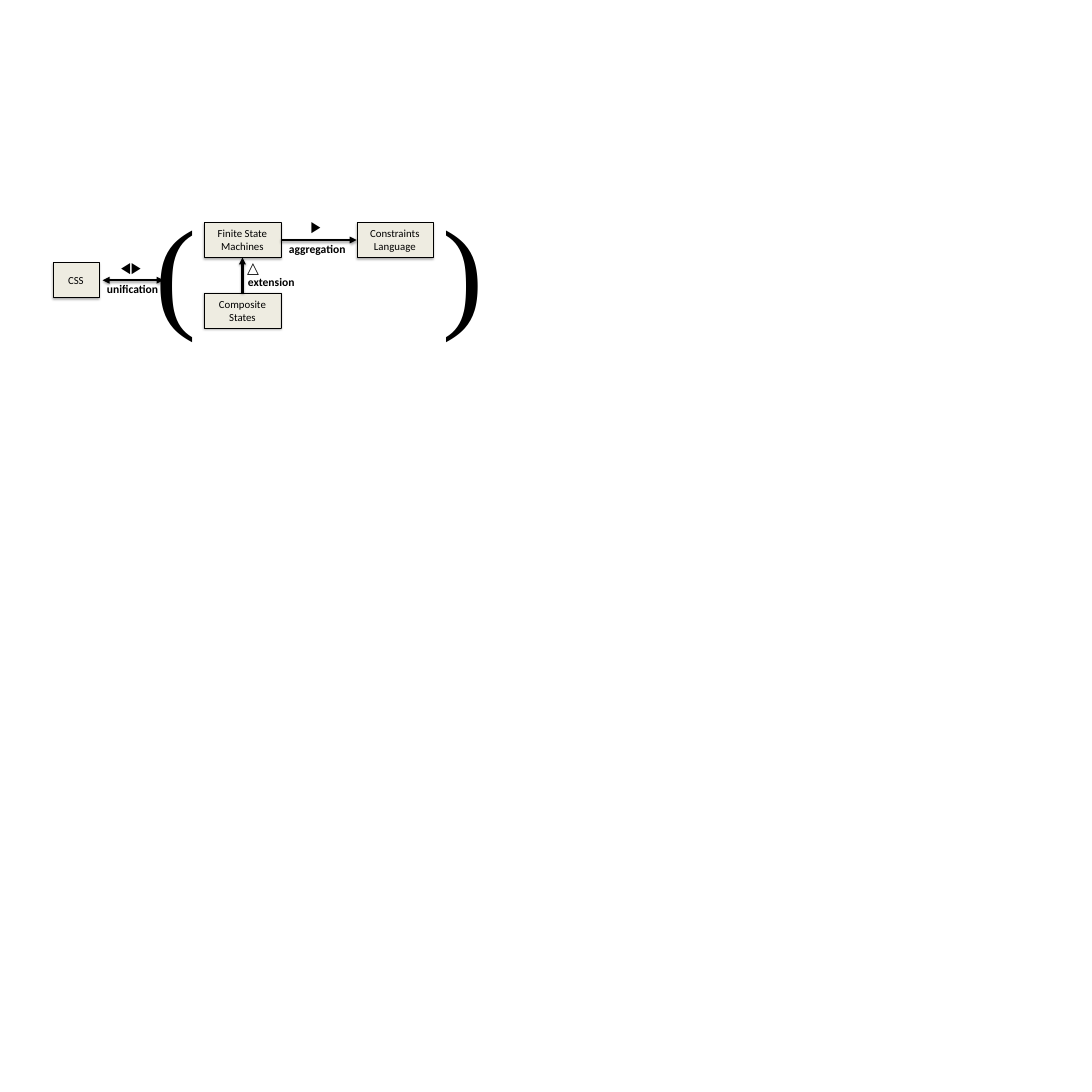
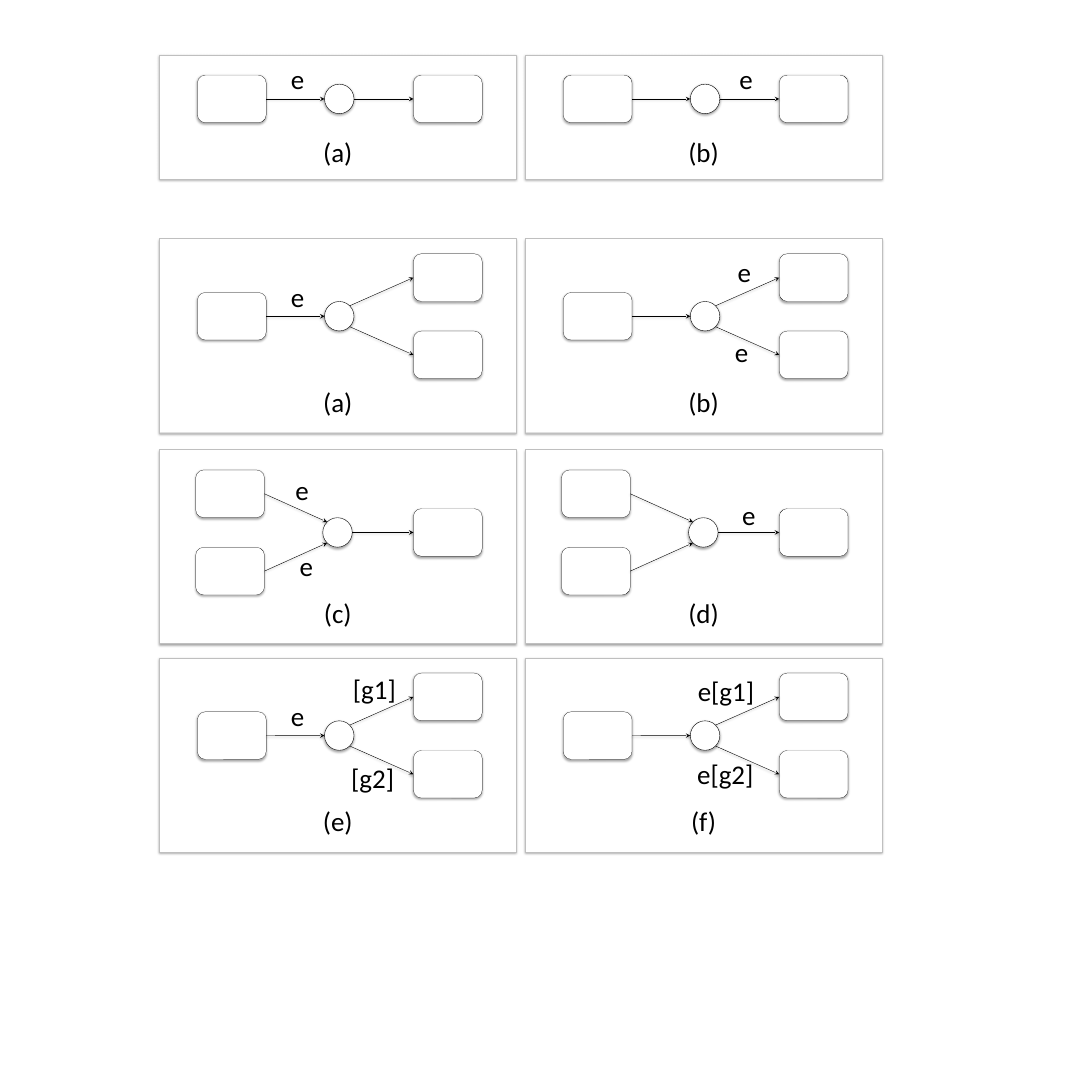
from lxml.etree import SubElement
from pptx import Presentation
from pptx.dml.color import RGBColor
from pptx.enum.shapes import MSO_CONNECTOR, MSO_SHAPE
from pptx.enum.text import MSO_ANCHOR, PP_ALIGN
from pptx.oxml.ns import qn
from pptx.util import Cm, Pt

BLACK = RGBColor(0x00, 0x00, 0x00)
WHITE = RGBColor(0xFF, 0xFF, 0xFF)
BEIGE = RGBColor(0xEE, 0xEC, 0xE1)
GREY = RGBColor(0xBF, 0xBF, 0xBF)

TOP, LEFT, BOTTOM, RIGHT = range(4)

PANEL_W = 16.33
COLUMNS = (7.3, 24.05)
STATE_W, STATE_H = 3.15, 2.18
NODE = 1.35
SOURCE_DX, NODE_DX, TARGET_DX = 1.74, 7.56, 11.63
SPREAD = 1.77


def add_shadow(sp, dist, alpha):
    effects = SubElement(sp.element.spPr, qn("a:effectLst"))
    shadow = SubElement(effects, qn("a:outerShdw"), blurRad="40000",
                        dist=str(dist), dir="5400000", rotWithShape="0")
    color = SubElement(shadow, qn("a:srgbClr"), val=str(BLACK))
    SubElement(color, qn("a:alpha"), val=str(alpha * 1000))


def add_box(slide, kind, x, y, w, h, fill=WHITE, line=BLACK, weight=0.25):
    sp = slide.shapes.add_shape(kind, Cm(x), Cm(y), Cm(w), Cm(h))
    sp.fill.solid()
    sp.fill.fore_color.rgb = fill
    sp.line.color.rgb = line
    sp.line.width = Pt(weight)
    add_shadow(sp, 23000, 35)
    return sp


def write(tf, text, size, font="Calibri", bold=False, align=PP_ALIGN.LEFT):
    tf.word_wrap = True
    tf.text = text
    for p in tf.paragraphs:
        p.alignment = align
        p.font.size = Pt(size)
        p.font.name = font
        p.font.bold = bold
        p.font.color.rgb = BLACK


def add_label(slide, text, x, y, w, h, size, **style):
    sp = slide.shapes.add_textbox(Cm(x), Cm(y), Cm(w), Cm(h))
    write(sp.text_frame, text, size, **style)


def add_arrow(slide, start, end, weight=0.5, head=None, tail="stealth"):
    line = slide.shapes.add_connector(
        MSO_CONNECTOR.STRAIGHT, *(Cm(v) for v in (*start, *end)))
    line.line.color.rgb = BLACK
    line.line.width = Pt(weight)
    ln = line.line._get_or_add_ln()
    for tag, arrowhead in (("a:headEnd", head), ("a:tailEnd", tail)):
        if arrowhead:
            SubElement(ln, qn(tag), type=arrowhead)
    add_shadow(line, 20000, 38)
    return line


def add_language(slide, text, x, y, w=3.5):
    sp = add_box(slide, MSO_SHAPE.RECTANGLE, x, y, w, 1.6, fill=BEIGE)
    write(sp.text_frame, text, 14, align=PP_ALIGN.CENTER)
    sp.text_frame.vertical_anchor = MSO_ANCHOR.MIDDLE
    return sp


def link_languages(slide, source, source_site, target, target_site):
    line = add_arrow(slide, (0, 0), (1, 1), weight=3, tail="triangle")
    line.begin_connect(source, source_site)
    line.end_connect(target, target_site)


def add_state(slide, x, center_y):
    return add_box(slide, MSO_SHAPE.ROUNDED_RECTANGLE,
                   x, center_y - STATE_H / 2, STATE_W, STATE_H)


def add_panel(slide, x, row, caption, sources, targets, labels):
    top, height, axis, caption_y = row
    add_box(slide, MSO_SHAPE.RECTANGLE, x, top, PANEL_W, height, line=GREY)
    shift = -0.08 if len(sources) > 1 else 0
    source_x = x + SOURCE_DX + shift
    node_x = x + NODE_DX + shift
    target_x = x + TARGET_DX
    add_box(slide, MSO_SHAPE.OVAL, node_x, axis - NODE / 2, NODE, NODE,
            weight=0.5)

    def node_point(side, step):
        reach = NODE / 2 * (0.71 if step else 1)
        return node_x + NODE / 2 + side * reach, axis + step * reach

    for step in sources:
        y = axis + step * SPREAD
        state = add_state(slide, source_x, y)
        line = add_arrow(slide, (source_x + STATE_W, y), node_point(-1, step))
        line.begin_connect(state, RIGHT)
    for step in targets:
        y = axis + step * SPREAD
        state = add_state(slide, target_x, y)
        line = add_arrow(slide, node_point(1, step), (target_x, y))
        line.end_connect(state, LEFT)
    for text, dx, dy in labels:
        add_label(slide, text, x + dx, axis + dy,
                  1.3 + 0.55 * len(text), 1.75, 35)
    add_label(slide, caption, x + (PANEL_W - 2.13) / 2, caption_y,
              2.13, 1.75, 35, align=PP_ALIGN.CENTER)


def build_composition(slide):
    for text, x in (("(", 6.75), (")", 19.91)):
        add_label(slide, text, x, 8.71, 2.6, 7.09, 160,
                  font="Times New Roman", align=PP_ALIGN.CENTER)
    add_language(slide, "CSS", 2.41, 12.01, w=2.13)
    machines = add_language(slide, "Finite State Machines", 9.35, 10.19)
    composite = add_language(slide, "Composite\nStates", 9.35, 13.41)
    constraints = add_language(slide, "Constraints Language", 16.33, 10.19)
    link_languages(slide, composite, TOP, machines, BOTTOM)
    link_languages(slide, machines, RIGHT, constraints, LEFT)
    add_arrow(slide, (4.7, 12.83), (7.49, 12.83), weight=3,
              head="triangle", tail="triangle")
    for text, x, y in (("extension", 11.1, 12.45),
                       ("aggregation", 12.98, 10.95),
                       ("unification", 4.65, 12.78)):
        add_label(slide, text, x, y, 3.2, 0.9, 15, bold=True)
    for text, x, y in (("△", 11.07, 11.71), ("▶", 13.97, 9.83),
                       ("◀▶", 5.28, 11.68)):
        add_label(slide, text, x, y, 2, 1.12, 20, font="Arial")


def build_transitions(slide):
    one, two = (0,), (-1, 1)
    rows = (
        ((2.51, 5.69, 4.53, 6.07), one, one, (
            ("(a)", [("e", 5.77, -1.78)]),
            ("(b)", [("e", 9.55, -1.78)]))),
        ((10.92, 8.89, 14.48, 17.53), one, two, (
            ("(a)", [("e", 5.77, -1.76)]),
            ("(b)", [("e", 9.47, -2.9), ("e", 9.35, 0.74)]))),
        ((20.57, 8.89, 24.38, 27.18), two, one, (
            ("(c)", [("e", 5.97, -2.84), ("e", 6.17, 0.67)]),
            ("(d)", [("e", 9.68, -1.7)]))),
        ((30.12, 8.89, 33.68, 36.73), one, two, (
            ("(e)", [("e", 5.77, -1.78), ("[g1]", 8.61, -3),
                     ("[g2]", 8.53, 1.07)]),
            ("(f)", [("e[g1]", 7.65, -2.9), ("e[g2]", 7.62, 0.89)]))),
    )
    for row, sources, targets, panels in rows:
        for x, (caption, labels) in zip(COLUMNS, panels):
            add_panel(slide, x, row, caption, sources, targets, labels)


def main():
    prs = Presentation()
    prs.slide_width = prs.slide_height = Cm(50)
    blank = prs.slide_layouts[6]
    for build in (build_composition, build_transitions):
        build(prs.slides.add_slide(blank))
    prs.save("out.pptx")


if __name__ == "__main__":
    main()
